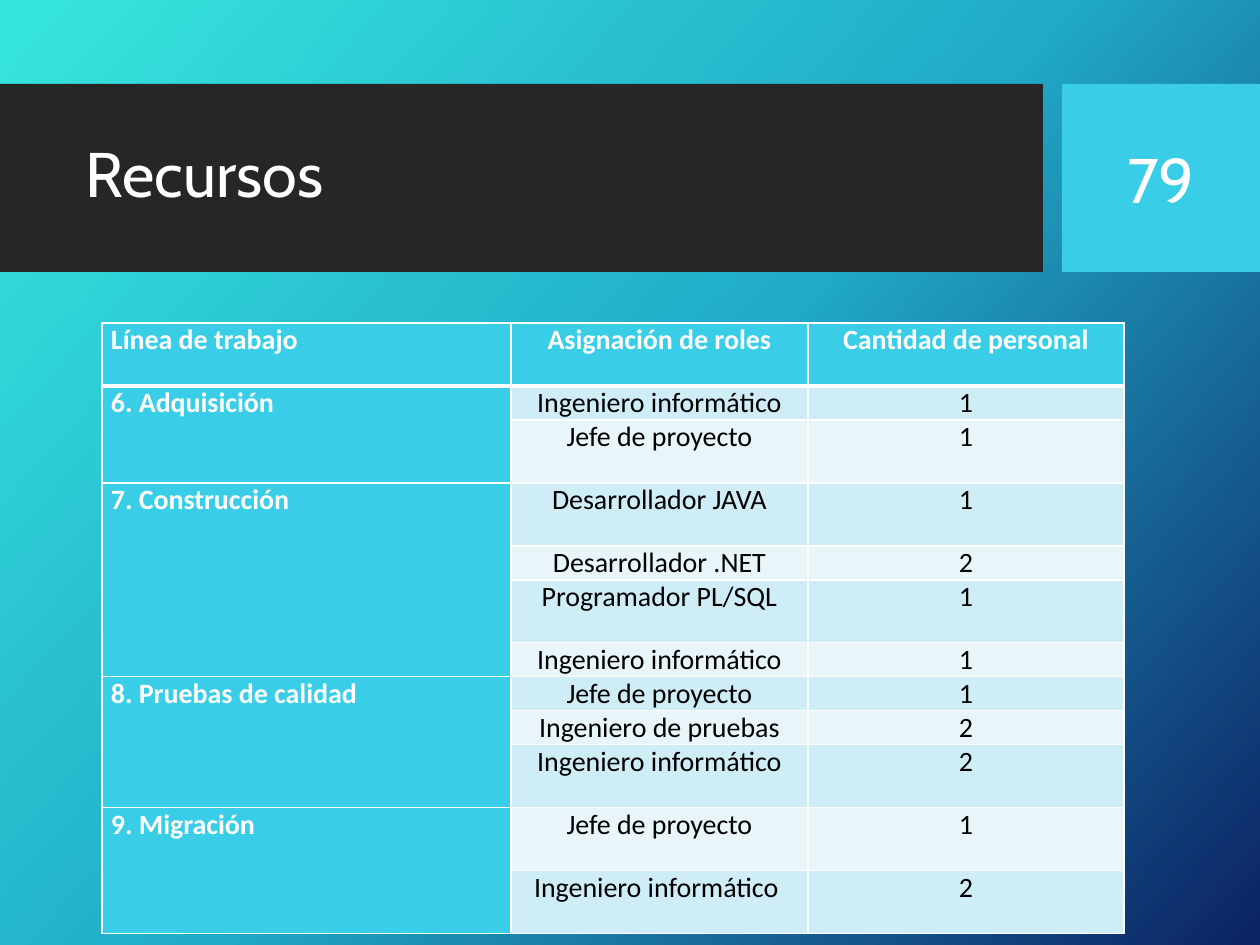
from copy import deepcopy

from lxml import etree
from pptx import Presentation
from pptx.dml.color import RGBColor
from pptx.enum.shapes import MSO_SHAPE
from pptx.enum.text import MSO_ANCHOR, PP_ALIGN
from pptx.oxml import parse_xml
from pptx.util import Pt

PX = 914400 // 126
RECTANGLE = MSO_SHAPE.RECTANGLE
MIDDLE = MSO_ANCHOR.MIDDLE
LEFT, CENTER = PP_ALIGN.LEFT, PP_ALIGN.CENTER
A = "http://schemas.openxmlformats.org/drawingml/2006/main"
WHITE, BLACK, CYAN, DARK = "FFFFFF", "000000", "39CDE7", "262626"
BANDS = ["E8F6FA", "CEEDF6"]

TALL, SHORT = 63, 34
COLUMN_WIDTHS = [409, 297, 316]
HEADINGS = ["Línea de trabajo", "Asignación de roles", "Cantidad de personal"]
WORK_LINES = [
    ("6. Adquisición", [
        ("Ingeniero informático", 1, SHORT),
        ("Jefe de proyecto", 1, TALL),
    ]),
    ("7. Construcción", [
        ("Desarrollador JAVA", 1, TALL),
        ("Desarrollador .NET", 2, SHORT),
        ("Programador PL/SQL", 1, TALL),
        ("Ingeniero informático", 1, SHORT),
    ]),
    ("8. Pruebas de calidad", [
        ("Jefe de proyecto", 1, SHORT),
        ("Ingeniero de pruebas", 2, SHORT),
        ("Ingeniero informático", 2, TALL),
    ]),
    ("9. Migración", [
        ("Jefe de proyecto", 1, TALL),
        ("Ingeniero informático ", 2, TALL),
    ]),
]


def rgb(value):
    return RGBColor.from_string(value)


def set_font(paragraph, name, size, color, bold=False):
    font = paragraph.font
    font.name, font.size, font.bold = name, Pt(size), bold
    font.color.rgb = rgb(color)


prs = Presentation()
prs.slide_width, prs.slide_height = 1260 * PX, 945 * PX
slide = prs.slides.add_slide(prs.slide_layouts[5])

# Background gradient
background = slide.background.fill
background.gradient()
background.gradient_angle = 360 - 42
stop_list = slide.background._cSld.find(f".//{{{A}}}gsLst")
stop_list.insert(1, deepcopy(stop_list[0]))
for stop, position, color in zip(background.gradient_stops, [0, 0.5, 1],
                                 ["36E6DD", "21ABC8", "0C2263"]):
    stop.position = position
    stop.color.rgb = rgb(color)

# Header bands, kept behind the title
title = slide.shapes.title
for left, width, color in [(0, 1043, DARK), (1062, 198, CYAN)]:
    band = slide.shapes.add_shape(RECTANGLE, left * PX, 84 * PX, width * PX, 188 * PX)
    band.shadow.inherit = False
    band.fill.solid()
    band.fill.fore_color.rgb = rgb(color)
    band.line.fill.background()
    title.element.addprevious(band.element)

# Title and page number
title.left, title.top, title.width, title.height = 73 * PX, 103 * PX, 950 * PX, 149 * PX
page_number = slide.shapes.add_textbox(1081 * PX, 103 * PX, 160 * PX, 150 * PX)
for holder, text, alignment in [(title, "Recursos", LEFT), (page_number, "79", CENTER)]:
    frame = holder.text_frame
    frame.word_wrap = True
    frame.vertical_anchor = MIDDLE
    frame.text = text
    heading = frame.paragraphs[0]
    heading.alignment = alignment
    set_font(heading, "Cabin", 36, WHITE)
title.text_frame.paragraphs[0].line_spacing = 0.9

# Resource table: one row per role, grouped by line of work
rows = [(*HEADINGS, TALL)]
spans = []
for work_line, roles in WORK_LINES:
    spans.append((len(rows), len(rows) + len(roles) - 1))
    for index, (role, count, height) in enumerate(roles):
        rows.append((work_line if index == 0 else "", role, str(count), height))

heights = [row[-1] for row in rows]
resources = slide.shapes.add_table(
    len(rows), len(COLUMN_WIDTHS), 102 * PX, 323 * PX,
    sum(COLUMN_WIDTHS) * PX, sum(heights) * PX).table
for column, width in zip(resources.columns, COLUMN_WIDTHS):
    column.width = width * PX

for r, (*texts, height) in enumerate(rows):
    resources.rows[r].height = height * PX
    for c, text in enumerate(texts):
        cell = resources.cell(r, c)
        cell.margin_left = cell.margin_right = 9 * PX
        cell.margin_top = cell.margin_bottom = 0
        cell.text = text
        accent = r == 0 or c == 0
        entry = cell.text_frame.paragraphs[0]
        entry.alignment = LEFT if c == 0 else CENTER
        set_font(entry, "Calibri", 16, WHITE if accent else BLACK, accent)

        properties = cell._tc.get_or_add_tcPr()
        for side in "LRTB":
            thick = (r, side) in [(0, "B"), (1, "T")]
            border = parse_xml(f'<a:ln{side} xmlns:a="{A}" w="{Pt(3 if thick else 1)}"/>')
            paint = etree.SubElement(border, f"{{{A}}}solidFill")
            etree.SubElement(paint, f"{{{A}}}srgbClr", val=WHITE)
            properties.append(border)
        cell.fill.solid()
        cell.fill.fore_color.rgb = rgb(CYAN if accent else BANDS[r % 2])

for first, last in spans:
    resources.cell(first, 0).merge(resources.cell(last, 0))

prs.save("out.pptx")
